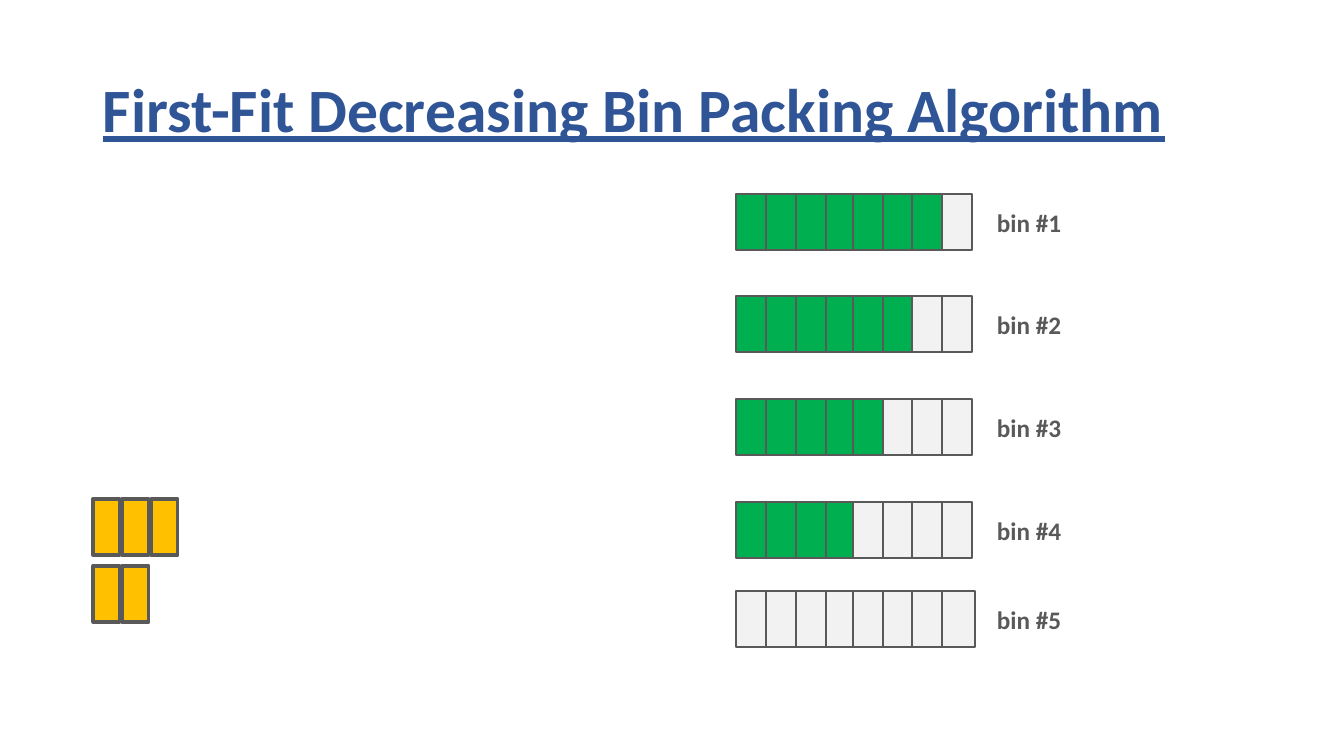
from pptx import Presentation
from pptx.dml.color import RGBColor
from pptx.enum.shapes import MSO_SHAPE
from pptx.enum.text import MSO_ANCHOR
from pptx.util import Pt

RECTANGLE = MSO_SHAPE.RECTANGLE
MIDDLE, TOP = MSO_ANCHOR.MIDDLE, MSO_ANCHOR.TOP

BLUE = RGBColor(0x2F, 0x55, 0x97)
GRAY = RGBColor(0x59, 0x59, 0x59)
GREEN = RGBColor(0x00, 0xB0, 0x50)
AMBER = RGBColor(0xFF, 0xC0, 0x00)
EMPTY = RGBColor(0xF2, 0xF2, 0xF2)

EMU_PER_PIXEL = 914400 / 100.8


def px(*lengths):
    return [round(length * EMU_PER_PIXEL) for length in lengths]


class SlideWriter:
    font = "Calibri"
    outline = GRAY

    def __init__(self, page):
        self.page = page

    def cell(self, left, top, width, height, fill, line_width):
        shape = self.page.shapes.add_shape(
            RECTANGLE, *px(left, top, width, height))
        shape.shadow.inherit = False
        shape.fill.solid()
        shape.fill.fore_color.rgb = fill
        shape.line.color.rgb = self.outline
        shape.line.width = Pt(line_width)

    def text(self, left, top, width, height, wording, size, color,
             anchor=TOP, underline=False, wrap=False):
        box = self.page.shapes.add_textbox(*px(left, top, width, height))
        frame = box.text_frame
        frame.word_wrap = wrap
        frame.vertical_anchor = anchor
        para = frame.paragraphs[0]
        if wrap:
            para.line_spacing = 0.9
        span = para.add_run()
        span.text = wording
        span.font.name = self.font
        span.font.size = Pt(size)
        span.font.bold = True
        span.font.underline = underline
        span.font.color.rgb = color


deck = Presentation()
deck.slide_width, deck.slide_height = px(1344, 756)
writer = SlideWriter(deck.slides.add_slide(deck.slide_layouts[6]))

# Title
writer.text(93, 40, 1159, 146, "First-Fit Decreasing Bin Packing Algorithm",
            44, BLUE, anchor=MIDDLE, underline=True, wrap=True)

# Items still to be packed: top and size
CELL_HEIGHT = 56
for top, item_size in ((566, 2), (499, 3)):
    for unit in range(item_size):
        writer.cell(93 + 29 * unit, top, 27, CELL_HEIGHT, AMBER, 2.25)

# Bins: top, filled units and cell width
CELL_LEFTS = (736, 766, 796, 826, 853, 883, 912, 942)
BINS = ((194, 7, 30), (296, 6, 30), (399, 5, 30), (502, 4, 30), (591, 0, 33))
for number, (top, filled, cell_width) in enumerate(BINS, start=1):
    for unit, left in enumerate(CELL_LEFTS):
        fill = GREEN if unit < filled else EMPTY
        writer.cell(left, top, cell_width, CELL_HEIGHT, fill, 1)
    writer.text(987, top + 8, 86, 40, f"bin #{number}", 18, GRAY)

deck.save("out.pptx")
